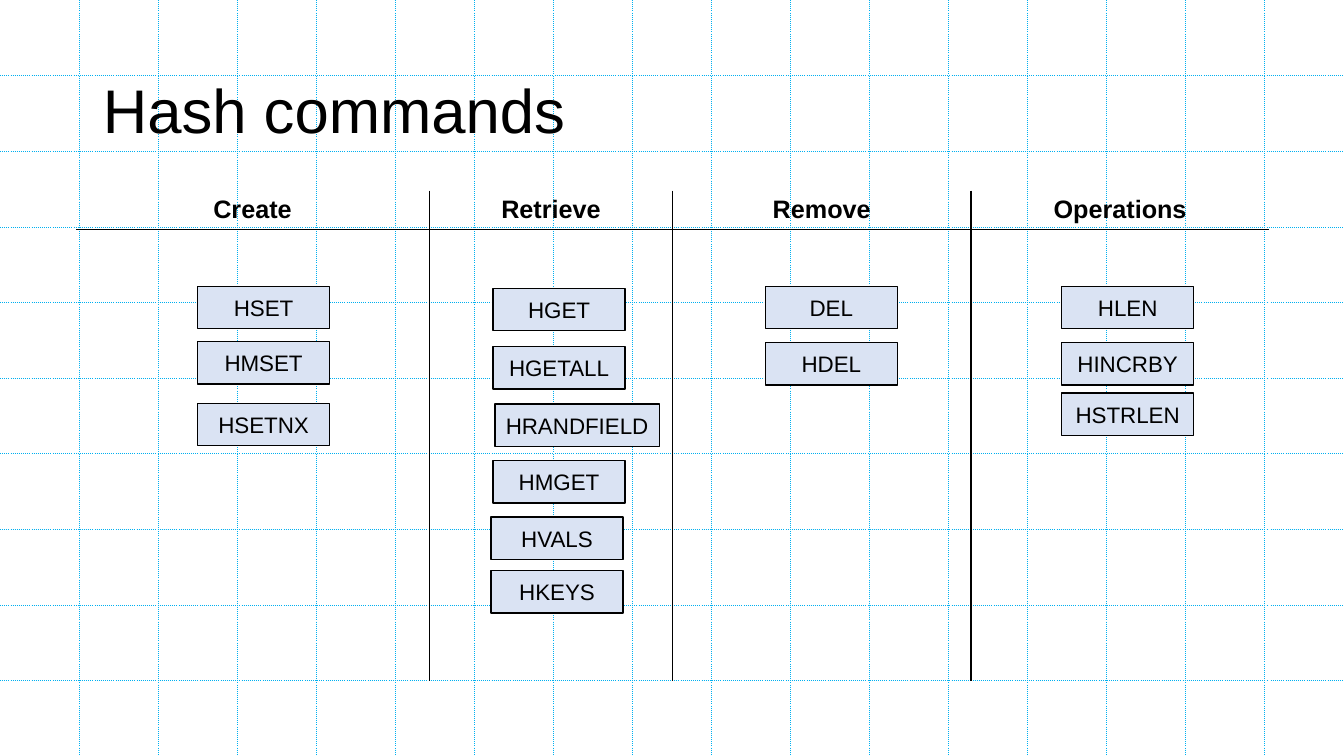
from lxml import etree
from pptx import Presentation
from pptx.dml.color import RGBColor
from pptx.enum.shapes import MSO_SHAPE
from pptx.enum.text import MSO_ANCHOR, MSO_AUTO_SIZE, PP_ALIGN
from pptx.oxml.ns import qn
from pptx.util import Inches, Pt

RECTANGLE = MSO_SHAPE.RECTANGLE
MIDDLE = MSO_ANCHOR.MIDDLE
NO_AUTOFIT = MSO_AUTO_SIZE.NONE
LEFT, CENTER = PP_ALIGN.LEFT, PP_ALIGN.CENTER

BLACK = RGBColor(0x00, 0x00, 0x00)
WHITE = RGBColor(0xFF, 0xFF, 0xFF)
GRID_BLUE = RGBColor(0x00, 0xB0, 0xF0)
PALE_BLUE = RGBColor(0xDA, 0xE3, 0xF3)

FONT = "Arial"
PLAIN_TABLE_STYLE = "{2D5ABB26-0587-4C30-8999-92F81FD0307C}"
SIDES = ("L", "R", "T", "B")

SLIDE_WIDTH, SLIDE_HEIGHT = 13.33, 7.5
GRID_COLUMNS, GRID_ROWS = 17, 10
TITLE_BOX = (0.92, 0.4, 11.5, 1.45)
BOARD_LEFT, BOARD_TOP = 0.75, 1.89
HEADER_HEIGHT, BODY_HEIGHT = 0.39, 4.48
COMMAND_WIDTH, COMMAND_HEIGHT = 1.31, 0.42

# Heading, column width, then each command as (name, left in column, top in board, width)
COLUMNS = [
    ("Create", 3.51, [
        ("HSET", 1.21, 0.95, COMMAND_WIDTH),
        ("HMSET", 1.21, 1.5, COMMAND_WIDTH),
        ("HSETNX", 1.21, 2.11, COMMAND_WIDTH),
    ]),
    ("Retrieve", 2.41, [
        ("HGET", 0.63, 0.97, COMMAND_WIDTH),
        ("HGETALL", 0.63, 1.55, COMMAND_WIDTH),
        ("HRANDFIELD", 0.65, 2.12, 1.63),
        ("HMGET", 0.63, 2.68, COMMAND_WIDTH),
        ("HVALS", 0.61, 3.24, COMMAND_WIDTH),
        ("HKEYS", 0.61, 3.77, COMMAND_WIDTH),
    ]),
    ("Remove", 2.96, [
        ("DEL", 0.92, 0.95, COMMAND_WIDTH),
        ("HDEL", 0.92, 1.51, COMMAND_WIDTH),
    ]),
    ("Operations", 2.96, [
        ("HLEN", 0.9, 0.95, COMMAND_WIDTH),
        ("HINCRBY", 0.9, 1.51, COMMAND_WIDTH),
        ("HSTRLEN", 0.9, 2.01, COMMAND_WIDTH),
    ]),
]


def write(para, text, size, align, bold=False):
    para.alignment = align
    span = para.add_run()
    span.text = text
    span.font.name = FONT
    span.font.size = Pt(size)
    span.font.bold = bold
    span.font.color.rgb = BLACK


def set_borders(cell, colors, width, dash):
    """Draw the sides named in colors, a dict from side letter to colour."""
    properties = cell._tc.get_or_add_tcPr()
    drawn = [side for side in SIDES if side in colors]
    for position, side in enumerate(drawn):
        line = etree.Element(qn(f"a:ln{side}"), w=str(Pt(width)))
        fill = etree.SubElement(line, qn("a:solidFill"))
        etree.SubElement(fill, qn("a:srgbClr"), val=str(colors[side]))
        etree.SubElement(line, qn("a:prstDash"), val=dash)
        properties.insert(position, line)


def add_plain_table(slide, left, top, widths, heights):
    frame = slide.shapes.add_table(
        len(heights), len(widths), Inches(left), Inches(top),
        Inches(sum(widths)), Inches(sum(heights)))
    table = frame.table
    table.first_row = False
    table.horz_banding = False
    frame.element.find(".//" + qn("a:tableStyleId")).text = PLAIN_TABLE_STYLE
    for column, width in zip(table.columns, widths):
        column.width = Inches(width)
    for row, height in zip(table.rows, heights):
        row.height = Inches(height)
    for cell in table.iter_cells():
        cell.fill.background()
    return table


def inner_sides(row, column, row_count, column_count):
    """Return the sides of a cell that touch another cell."""
    touches = {"L": column > 0, "R": column < column_count - 1,
               "T": row > 0, "B": row < row_count - 1}
    return [side for side in SIDES if touches[side]]


def add_background_grid(slide, width, height):
    table = add_plain_table(slide, 0, 0,
                            [width / GRID_COLUMNS] * GRID_COLUMNS,
                            [height / GRID_ROWS] * GRID_ROWS)
    for row in range(GRID_ROWS):
        for column in range(GRID_COLUMNS):
            sides = inner_sides(row, column, GRID_ROWS, GRID_COLUMNS)
            set_borders(table.cell(row, column),
                        dict.fromkeys(sides, GRID_BLUE), 0.25, "sysDot")


def add_title(slide, text, box):
    title = slide.shapes.title
    title.left, title.top, title.width, title.height = map(Inches, box)
    frame = title.text_frame
    frame.auto_size = NO_AUTOFIT
    frame.vertical_anchor = MIDDLE
    para = frame.paragraphs[0]
    para.line_spacing = 0.9
    write(para, text, 44, LEFT)
    title.element.getparent().append(title.element)


def add_command(slide, name, left, top, width):
    box = slide.shapes.add_shape(RECTANGLE, Inches(left), Inches(top),
                                 Inches(width), Inches(COMMAND_HEIGHT))
    box.shadow.inherit = False
    box.fill.solid()
    box.fill.fore_color.rgb = PALE_BLUE
    box.line.color.rgb = BLACK
    box.line.width = Pt(1)
    frame = box.text_frame
    frame.margin_left = frame.margin_right = Inches(0.05)
    frame.vertical_anchor = MIDDLE
    write(frame.paragraphs[0], name, 16, CENTER)


def add_board_table(slide, left, top):
    widths = [width for _, width, _ in COLUMNS]
    table = add_plain_table(slide, left, top, widths,
                            [HEADER_HEIGHT, BODY_HEIGHT])
    for column, (heading, _, _) in enumerate(COLUMNS):
        header, body = table.cell(0, column), table.cell(1, column)
        write(header.text_frame.paragraphs[0], heading, 18, CENTER, bold=True)
        header_sides = inner_sides(0, column, 2, len(COLUMNS))
        body_sides = inner_sides(1, column, 2, len(COLUMNS))
        set_borders(header, dict.fromkeys(header_sides, BLACK), 1, "solid")
        set_borders(body, {side: BLACK if side in body_sides else WHITE
                           for side in SIDES}, 1, "solid")


def add_commands(slide, left, top):
    for _, width, commands in COLUMNS:
        for name, offset, drop, command_width in commands:
            add_command(slide, name, left + offset, top + drop, command_width)
        left += width


def main():
    deck = Presentation()
    deck.slide_width = Inches(SLIDE_WIDTH)
    deck.slide_height = Inches(SLIDE_HEIGHT)
    slide = deck.slides.add_slide(deck.slide_layouts.get_by_name("Title Only"))
    add_background_grid(slide, SLIDE_WIDTH, SLIDE_HEIGHT)
    add_board_table(slide, BOARD_LEFT, BOARD_TOP)
    add_title(slide, "Hash commands", TITLE_BOX)
    add_commands(slide, BOARD_LEFT, BOARD_TOP)
    deck.save("out.pptx")


if __name__ == "__main__":
    main()
